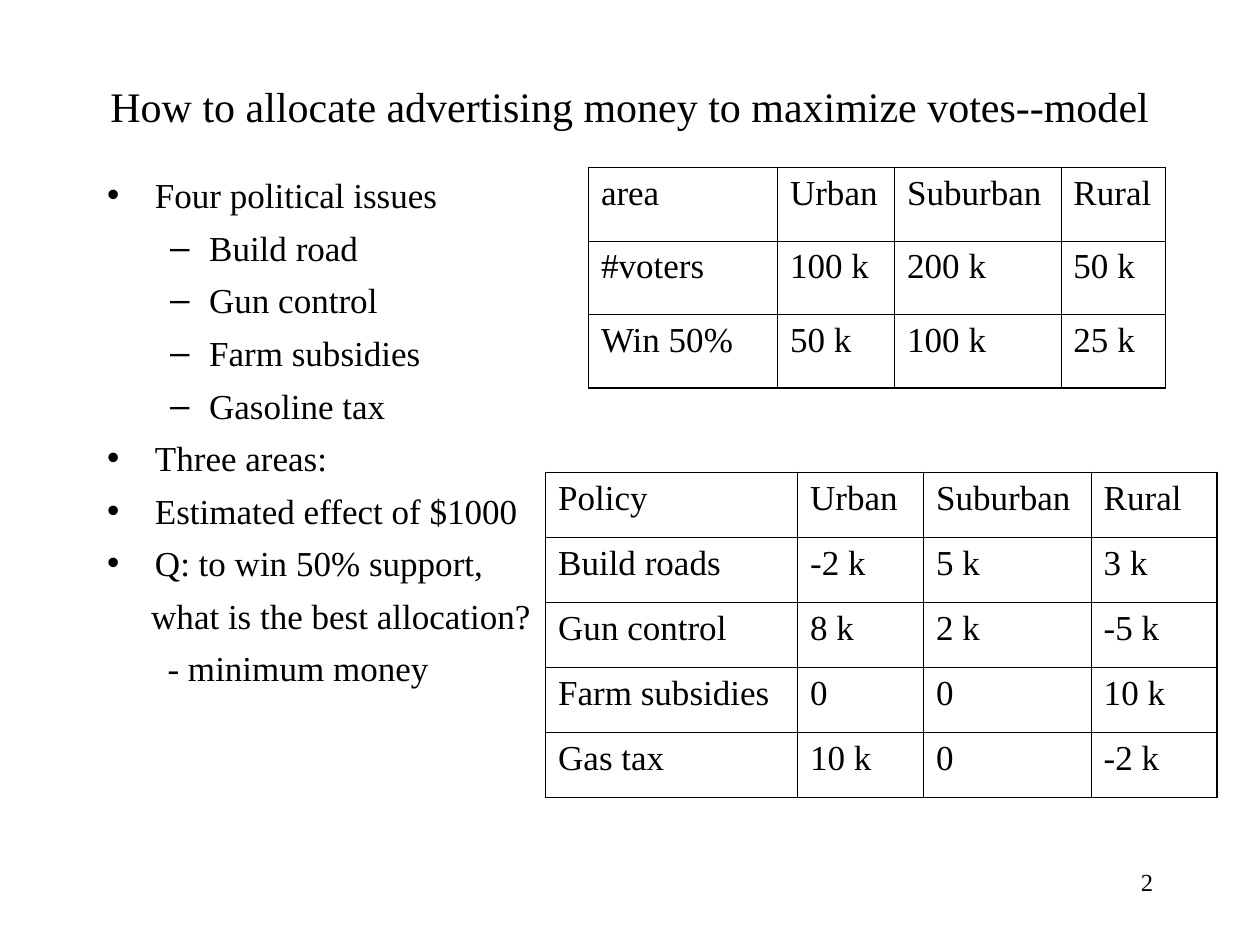
import pptx
import pptx.dml.color
import pptx.enum.text
import pptx.oxml
import pptx.util
from pptx.util import Inches

BLACK = pptx.dml.color.RGBColor(0x00, 0x00, 0x00)
FONT = "Times New Roman"
OUTER, INNER = pptx.util.Pt(1.08), pptx.util.Pt(0.45)
NS = 'xmlns:a="http://schemas.openxmlformats.org/drawingml/2006/main"'

# Paragraph styles: level, left margin, first-line indent, bullet
ISSUE = (0, 0.38, -0.38, "•")
SUB_ISSUE = (1, 0.81, -0.31, "–")
CONTINUED = (0, 0.35, 0, None)
DETAIL = (0, 0.48, 0, None)

OUTLINE = [
    ("Four political issues", ISSUE),
    ("Build road", SUB_ISSUE),
    ("Gun control", SUB_ISSUE),
    ("Farm subsidies", SUB_ISSUE),
    ("Gasoline tax", SUB_ISSUE),
    ("Three areas:", ISSUE),
    ("Estimated effect of $1000", ISSUE),
    ("Q: to win 50% support,", ISSUE),
    ("what is the best allocation?", CONTINUED),
    ("- minimum money", DETAIL),
]
VOTERS = [
    ["area", "Urban", "Suburban", "Rural"],
    ["#voters", "100 k", "200 k", "50 k"],
    ["Win 50%", "50 k", "100 k", "25 k"],
]
EFFECTS = [
    ["Policy", "Urban", "Suburban", "Rural"],
    ["Build roads", "-2 k", "5 k", "3 k"],
    ["Gun control", "8 k", "2 k", "-5 k"],
    ["Farm subsidies", "0", "0", "10 k"],
    ["Gas tax", "10 k", "0", "-2 k"],
]


def place(shape, left, top, width, height):
    shape.left, shape.top = Inches(left), Inches(top)
    shape.width, shape.height = Inches(width), Inches(height)


def format_paragraph(p, size, space_before=0):
    p.font.name = FONT
    p.font.size = pptx.util.Pt(size)
    p.font.color.rgb = BLACK
    p.space_before = pptx.util.Pt(space_before)


def set_bullet(p, margin, indent, bullet):
    pPr = p._p.get_or_add_pPr()
    pPr.set("marL", str(Inches(margin)))
    pPr.set("indent", str(Inches(indent)))
    mark = f'<a:buChar {NS} char="{bullet}"/>' if bullet else f"<a:buNone {NS}/>"
    pPr.insert_element_before(
        pptx.oxml.parse_xml(mark), "a:tabLst", "a:defRPr", "a:extLst")


def set_borders(cell, widths):
    tcPr = cell._tc.get_or_add_tcPr()
    for i, (side, width) in enumerate(widths.items()):
        tcPr.insert(i, pptx.oxml.parse_xml(
            f'<a:{side} {NS} w="{width}"><a:solidFill>'
            f'<a:srgbClr val="{BLACK}"/></a:solidFill></a:{side}>'))


def add_title(s, box, text):
    title = s.shapes.title
    place(title, *box)
    tf = title.text_frame
    tf.auto_size = pptx.enum.text.MSO_AUTO_SIZE.NONE
    tf.vertical_anchor = pptx.enum.text.MSO_ANCHOR.MIDDLE
    tf.text = text
    format_paragraph(tf.paragraphs[0], 24)
    tf.paragraphs[0].alignment = pptx.enum.text.PP_ALIGN.CENTER


def add_outline(s, box, items):
    body = s.placeholders[1]
    place(body, *box)
    tf = body.text_frame
    tf.auto_size = pptx.enum.text.MSO_AUTO_SIZE.NONE
    tf.text = "\n".join(text for text, _ in items)
    for p, (_, (level, margin, indent, bullet)) in zip(tf.paragraphs, items):
        p.level = level
        format_paragraph(p, 20, 6)
        set_bullet(p, margin, indent, bullet)


def add_grid(s, left, top, col_widths, height, rows):
    n_rows, n_cols = len(rows), len(col_widths)
    table = s.shapes.add_table(
        n_rows, n_cols, Inches(left), Inches(top),
        Inches(sum(col_widths)), Inches(height)).table
    table.first_row = table.horz_banding = False
    for column, width in zip(table.columns, col_widths):
        column.width = Inches(width)
    for i, row in enumerate(rows):
        for j, text in enumerate(row):
            cell = table.cell(i, j)
            cell.text = text
            cell.fill.background()
            format_paragraph(cell.text_frame.paragraphs[0], 20, 5)
            # Heavier line around the outside of the grid
            set_borders(cell, {
                "lnL": OUTER if j == 0 else INNER,
                "lnR": OUTER if j == n_cols - 1 else INNER,
                "lnT": OUTER if i == 0 else INNER,
                "lnB": OUTER if i == n_rows - 1 else INNER,
            })


def add_page_number(s, box, number):
    tf = s.shapes.add_textbox(*map(Inches, box)).text_frame
    tf.word_wrap = True
    p = tf.paragraphs[0]
    p.text = number
    p.alignment = pptx.enum.text.PP_ALIGN.RIGHT
    format_paragraph(p, 14)


def main():
    prs = pptx.Presentation()
    prs.slide_width, prs.slide_height = Inches(10), Inches(7.5)
    s = prs.slides.add_slide(prs.slide_layouts[1])

    add_title(s, (0.75, 0.5, 8.5, 0.67),
              "How to allocate advertising money to maximize votes--model")
    add_outline(s, (0.75, 1.33, 4.17, 5.33), OUTLINE)

    # Voters by area, then the effect of each policy
    add_grid(s, 4.67, 1.33, (1.5, 0.93, 1.32, 0.83), 1.75, VOTERS)
    add_grid(s, 4.33, 3.75, (2, 1, 1.33, 1), 2.58, EFFECTS)

    add_page_number(s, (7.17, 6.83, 2.08, 0.5), "2")
    prs.save("out.pptx")


if __name__ == "__main__":
    main()
